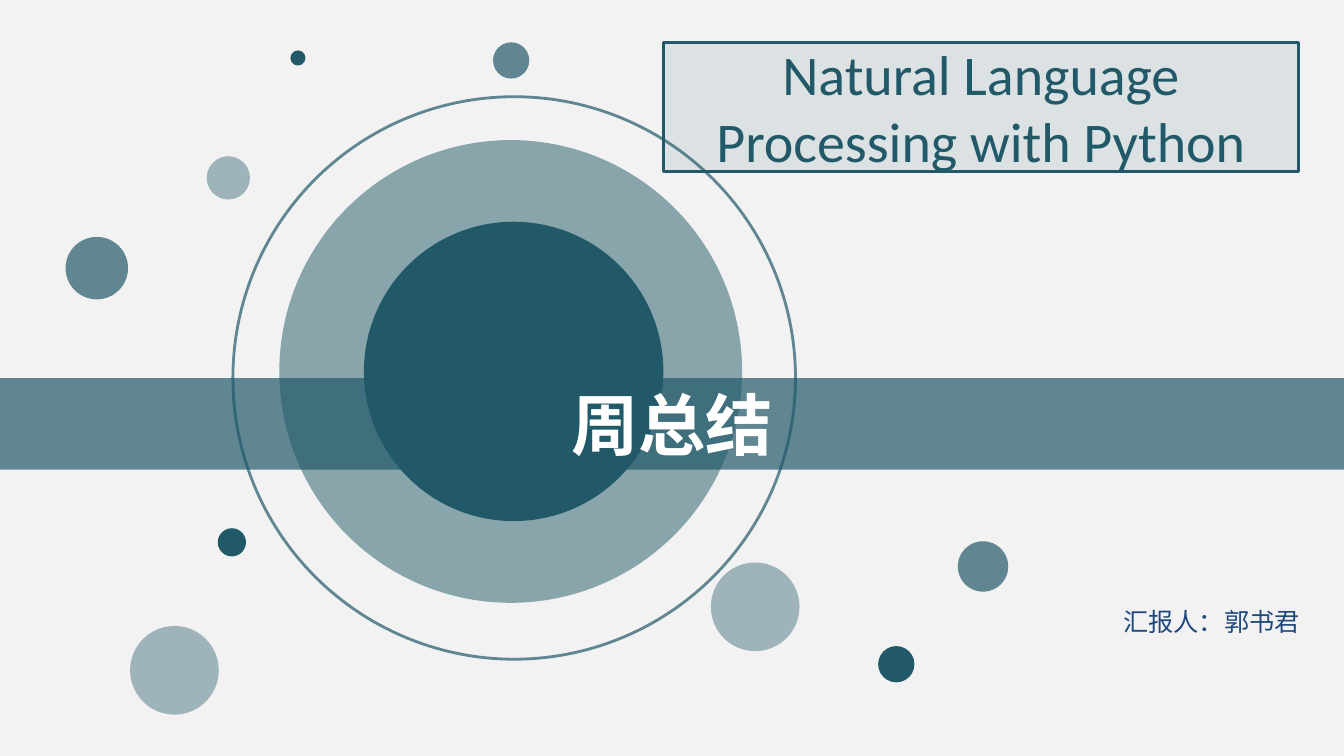
import pptx
import pptx.util
import pptx.dml.color
import pptx.enum.shapes
import pptx.enum.text
import pptx.oxml
import pptx.oxml.ns

Inches = pptx.util.Inches
TEAL = "215968"
LATIN = "Calibri"
HAN = "Noto Sans CJK SC"
DOTS = [
    (4.89, 0.42, 0.36, 70),
    (1.29, 6.21, 0.88, 40),
    (2.88, 0.5, 0.15, 100),
    (2.16, 5.24, 0.28, 100),
    (9.5, 5.37, 0.5, 70),
    (2.05, 1.55, 0.43, 40),
    (7.05, 5.58, 0.88, 40),
    (0.65, 2.35, 0.62, 70),
    (8.71, 6.41, 0.36, 100),
]


def color(text):
    return pptx.dml.color.RGBColor.from_string(text)


def paint(fill, tint, alpha=100):
    fill.solid()
    fill.fore_color.rgb = color(tint)
    if alpha < 100:
        node = fill._xPr.find(".//" + pptx.oxml.ns.qn("a:srgbClr"))
        mark = pptx.oxml.parse_xml(
            f'<a:alpha {pptx.oxml.ns.nsdecls("a")} val="{alpha * 1000}"/>')
        node.append(mark)


def place(shape, left, top, width, height):
    shape.left, shape.top = Inches(left), Inches(top)
    shape.width, shape.height = Inches(width), Inches(height)


def style(shape, fill=None, line=None):
    shape.shadow.inherit = False
    if fill is None:
        shape.fill.background()
    else:
        paint(shape.fill, TEAL, fill)
    if line is None:
        shape.line.fill.background()
    else:
        paint(shape.line.fill, TEAL, line)
        shape.line.width = pptx.util.Pt(2)


def circle(slide, left, top, size, fill=None, line=None):
    shape = slide.shapes.add_shape(
        pptx.enum.shapes.MSO_SHAPE.OVAL,
        Inches(left), Inches(top), Inches(size), Inches(size))
    style(shape, fill, line)


def write(shape, text, size, font, tint, align, bold=False):
    frame = shape.text_frame
    frame.word_wrap = True
    frame.auto_size = pptx.enum.text.MSO_AUTO_SIZE.NONE
    frame.vertical_anchor = pptx.enum.text.MSO_ANCHOR.MIDDLE
    para = frame.paragraphs[0]
    para.alignment = align
    run = para.add_run()
    run.text = text
    run.font.size = pptx.util.Pt(size)
    run.font.name = font
    run.font.bold = bold
    run.font.color.rgb = color(tint)
    east = pptx.oxml.parse_xml(
        f'<a:ea {pptx.oxml.ns.nsdecls("a")} typeface="{HAN}"/>')
    run.font._element.find(pptx.oxml.ns.qn("a:latin")).addnext(east)


def band(slide):
    title = slide.shapes.title
    place(title, 0, 3.75, 13.33, 0.91)
    style(title, 70)
    write(title, "周总结", 48, HAN, "FFFFFF",
          pptx.enum.text.PP_ALIGN.CENTER, True)
    slide.shapes._spTree.append(title._element)


def topic(slide):
    box = slide.shapes.add_shape(
        pptx.enum.shapes.MSO_SHAPE.RECTANGLE,
        Inches(6.58), Inches(0.42), Inches(6.3), Inches(1.28))
    style(box, 10, 100)
    write(box, "Natural Language Processing with Python", 40, LATIN, TEAL,
          pptx.enum.text.PP_ALIGN.CENTER)


def author(slide):
    box = slide.shapes.add_textbox(
        Inches(8.3), Inches(5.97), Inches(4.9), Inches(0.4))
    box.text_frame.margin_right = Inches(0.31)
    write(box, "汇报人：郭书君", 18, LATIN, "1F497D",
          pptx.enum.text.PP_ALIGN.RIGHT)


def main():
    deck = pptx.Presentation()
    deck.slide_width, deck.slide_height = Inches(13.33), Inches(7.5)
    slide = deck.slides.add_slide(deck.slide_layouts.get_by_name("Title Only"))
    paint(slide.background.fill, "F2F2F2")
    circle(slide, 2.77, 1.39, 4.59, fill=50)
    for left, top, size, alpha in DOTS:
        circle(slide, left, top, size, fill=alpha)
    circle(slide, 2.31, 0.96, 5.58, line=70)
    circle(slide, 3.61, 2.2, 2.97, fill=100)
    band(slide)
    topic(slide)
    author(slide)
    deck.save("out.pptx")


if __name__ == "__main__":
    main()
